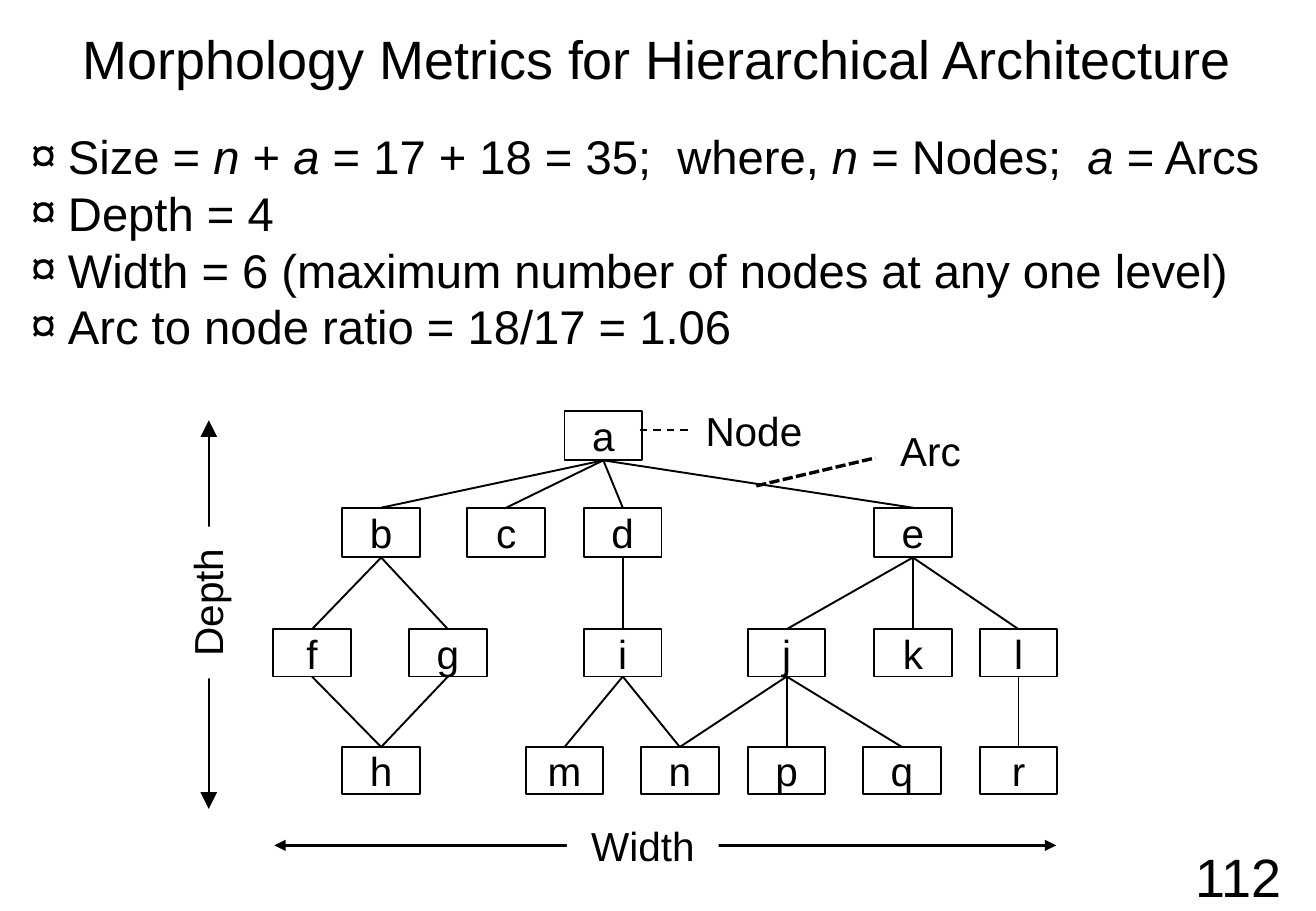
import pptx
import pptx.dml.color
import pptx.enum.dml
import pptx.enum.shapes
import pptx.enum.text
import pptx.oxml.ns
import pptx.util
from lxml import etree

Inches, Pt = pptx.util.Inches, pptx.util.Pt
Dash = pptx.enum.dml.MSO_LINE
Align = pptx.enum.text.PP_ALIGN
Anchor = pptx.enum.text.MSO_ANCHOR
BLACK = pptx.dml.color.RGBColor(0x00, 0x00, 0x00)
WHITE = pptx.dml.color.RGBColor(0xFF, 0xFF, 0xFF)
FONT = "Arial"

# Content
TITLE = "Morphology Metrics for Hierarchical Architecture"
PAGE_NUMBER = "112"
# Each bullet is a list of runs: (text, italic)
BULLETS = [
    [("Size = ", False), ("n", True), (" + ", False), ("a", True),
     (" = 17 + 18 = 35;  where, ", False), ("n", True),
     (" = Nodes; ", False), (" a ", True), ("= Arcs", False)],
    [("Depth = 4", False)],
    [("Width = 6 (maximum number of nodes at any one level)", False)],
    [("Arc to node ratio = 18/17 = 1.06", False)],
]
# Each level: top, height, {node: centre x}
LEVELS = [
    (3.38, 0.41, {"a": 4.97}),
    (4.18, 0.41, {"b": 3.14, "c": 4.17, "d": 5.13, "e": 7.52}),
    (5.18, 0.39, {"f": 2.57, "g": 3.69, "i": 5.13, "j": 6.48, "k": 7.52, "l": 8.39}),
    (6.15, 0.39, {"h": 3.14, "m": 4.65, "n": 5.6, "p": 6.48, "q": 7.43, "r": 8.39}),
]
NODE_WIDTH = 0.64
ARCS = {"a": "bcde", "b": "fg", "d": "i", "e": "jkl", "f": "h", "g": "h",
        "i": "mn", "j": "npq", "l": "r"}
# Text, left, top, width, height, rotation
LABELS = [
    ("Width", 4.67, 6.75, 1.25, 0.42, 0),
    ("Depth", 1.08, 4.75, 1.25, 0.42, 270),
    ("Arc", 7.33, 3.5, 0.67, 0.42, 0),
    ("Node", 5.75, 3.33, 0.92, 0.42, 0),
]
# Start x, start y, end x, end y, line width
DIMENSION_ARROWS = [(2.26, 6.96, 8.7, 6.96, 2.25), (1.72, 3.46, 1.72, 6.66, 1.25)]
# Start x, start y, end x, end y, line width, dash
CALLOUTS = [(5.27, 3.54, 5.69, 3.54, 1.13, Dash.DASH),
            (6.23, 4.0, 7.21, 3.77, 2, Dash.SQUARE_DOT)]


def add_element(parent, tag, **attributes):
    return etree.SubElement(parent, pptx.oxml.ns.qn(tag), attributes)


def format_runs(paragraph, size):
    for run in paragraph.runs:
        run.font.name = FONT
        run.font.size = Pt(size)
        run.font.color.rgb = BLACK


def set_frame(text_frame, margin_x, margin_y, anchor, wrap=True):
    text_frame.auto_size = pptx.enum.text.MSO_AUTO_SIZE.NONE
    text_frame.word_wrap = wrap
    text_frame.vertical_anchor = anchor
    text_frame.margin_left = text_frame.margin_right = Inches(margin_x)
    text_frame.margin_top = text_frame.margin_bottom = Inches(margin_y)


def set_centred_text(shape, text, size, margins=(0.1, 0.05), wrap=True):
    set_frame(shape.text_frame, *margins, Anchor.MIDDLE, wrap)
    shape.text_frame.text = text
    paragraph = shape.text_frame.paragraphs[0]
    paragraph.alignment = Align.CENTER
    format_runs(paragraph, size)


def place(shape, left, top, width, height):
    shape.left, shape.top = Inches(left), Inches(top)
    shape.width, shape.height = Inches(width), Inches(height)


def add_line(shapes, start_x, start_y, end_x, end_y, width=1.13):
    line = shapes.add_connector(pptx.enum.shapes.MSO_CONNECTOR.STRAIGHT,
                                Inches(start_x), Inches(start_y),
                                Inches(end_x), Inches(end_y))
    line.line.color.rgb = BLACK
    line.line.width = Pt(width)
    add_element(line._element.spPr, "a:effectLst")
    return line


def add_node(shapes, name, centre, top, height):
    node = shapes.add_shape(pptx.enum.shapes.MSO_SHAPE.RECTANGLE,
                            Inches(centre - NODE_WIDTH / 2), Inches(top),
                            Inches(NODE_WIDTH), Inches(height))
    node.shadow.inherit = False
    node.fill.background()
    node.line.color.rgb = BLACK
    node.line.width = Pt(1.13)
    set_centred_text(node, name, 24, (0, 0))
    return node


def fill_bullets(body):
    set_frame(body.text_frame, 0, 0.05, Anchor.TOP)
    for index, runs in enumerate(BULLETS):
        paragraph = (body.text_frame.add_paragraph() if index
                     else body.text_frame.paragraphs[0])
        paragraph.space_before = Pt(0)
        paragraph.line_spacing = Pt(33.6)
        properties = paragraph._p.get_or_add_pPr()
        properties.set("marL", str(Inches(0.31)))
        properties.set("indent", str(-Inches(0.31)))
        colour = add_element(properties, "a:buClr")
        add_element(colour, "a:srgbClr", val=str(BLACK))
        add_element(properties, "a:buFont", typeface=FONT)
        add_element(properties, "a:buChar", char="¤")
        for text, italic in runs:
            run = paragraph.add_run()
            run.text = text
            run.font.italic = italic
        format_runs(paragraph, 28)


def main():
    presentation = pptx.Presentation()
    presentation.slide_width = Inches(10.84)
    presentation.slide_height = Inches(7.5)
    slide = presentation.slides.add_slide(presentation.slide_layouts[1])
    shapes = slide.shapes

    # Title, bullets and page number
    place(shapes.title, 0, 0, 10.83, 0.96)
    set_centred_text(shapes.title, TITLE, 32)
    body = slide.placeholders[1]
    place(body, 0.25, 1, 10.58, 2.01)
    fill_bullets(body)
    number = shapes.add_textbox(Inches(9.58), Inches(6.92), Inches(1.25), Inches(0.58))
    set_centred_text(number, PAGE_NUMBER, 32, wrap=False)

    # Tree nodes
    nodes = {name: add_node(shapes, name, centre, top, height)
             for top, height, centres in LEVELS
             for name, centre in centres.items()}

    # Arcs from the bottom of each parent to the top of each child
    for parent, children in ARCS.items():
        for child in children:
            arc = add_line(shapes, 0, 0, 0, 0)
            arc.begin_connect(nodes[parent], 2)
            arc.end_connect(nodes[child], 0)

    # Dashed callout lines
    for *ends, width, dash in CALLOUTS:
        add_line(shapes, *ends, width).line.dash_style = dash

    # Double-headed dimension arrows
    for *ends, width in DIMENSION_ARROWS:
        arrow = add_line(shapes, *ends, width)
        size = "med" if width > 2 else "lg"
        for tag in ("a:headEnd", "a:tailEnd"):
            add_element(arrow.line._get_or_add_ln(), tag,
                        type="triangle", w=size, len=size)

    # Labels on white
    for text, left, top, width, height, rotation in LABELS:
        label = shapes.add_textbox(Inches(left), Inches(top),
                                   Inches(width), Inches(height))
        label.rotation = rotation
        label.fill.solid()
        label.fill.fore_color.rgb = WHITE
        set_centred_text(label, text, 24, wrap=False)

    presentation.save("out.pptx")


if __name__ == "__main__":
    main()
